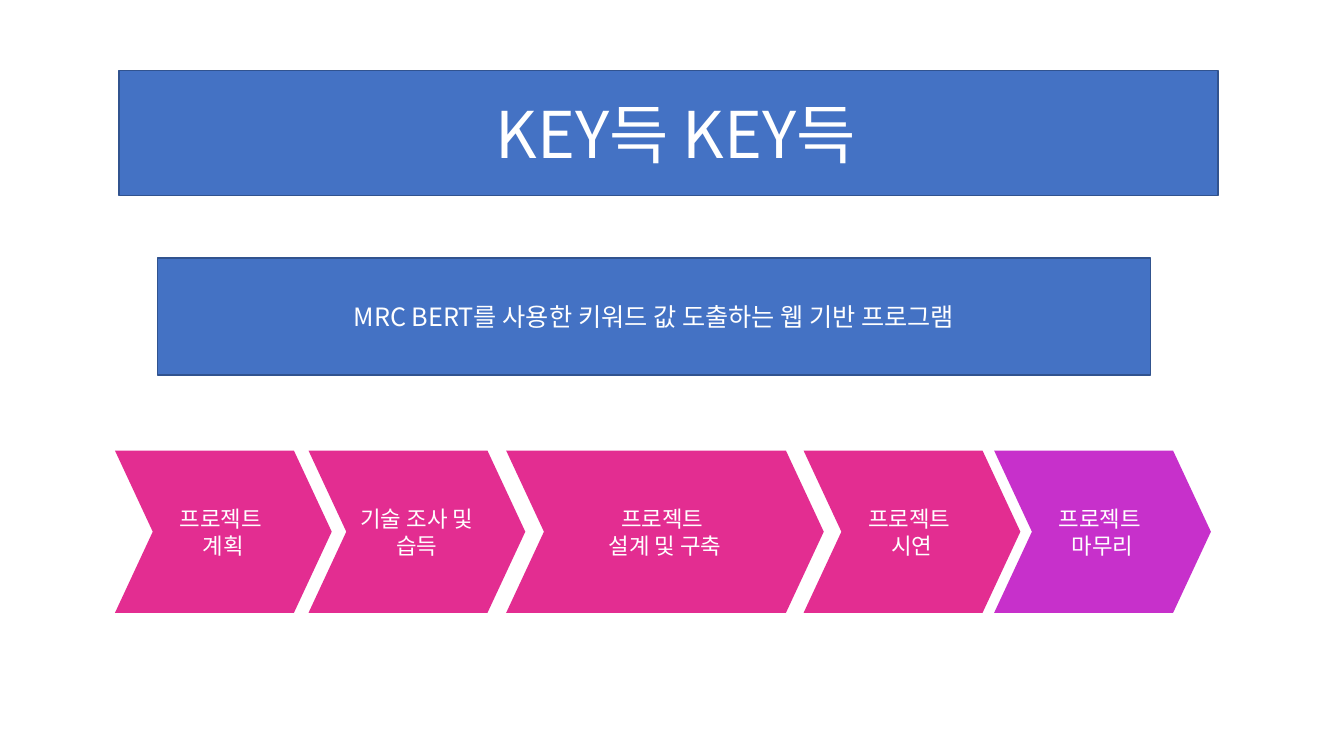
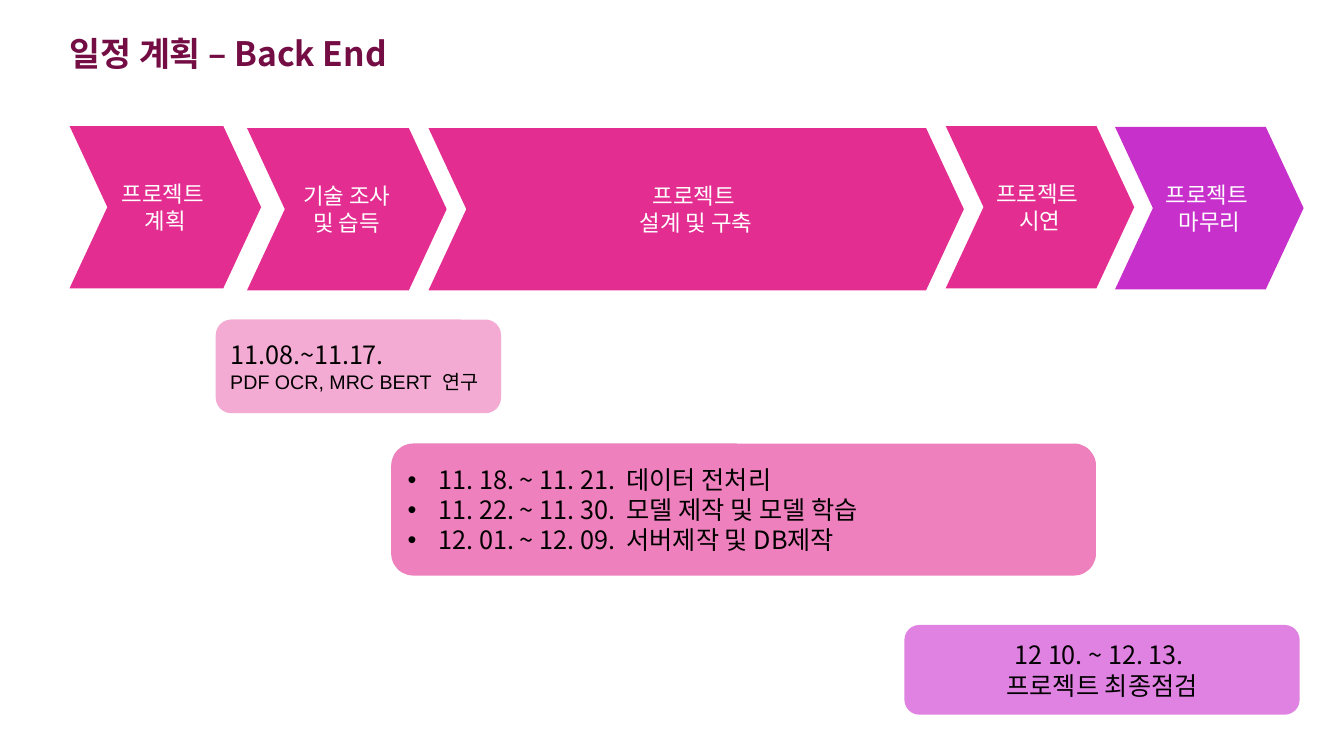
"""Build the project cover and back-end schedule slides."""
from lxml import etree
from pptx import Presentation
from pptx.dml.color import RGBColor
from pptx.enum.shapes import MSO_SHAPE
from pptx.enum.text import MSO_ANCHOR, MSO_AUTO_SIZE, PP_ALIGN
from pptx.oxml.ns import qn
from pptx.util import Inches, Pt

CHEVRON, RECTANGLE, ROUNDED = MSO_SHAPE.CHEVRON, MSO_SHAPE.RECTANGLE, MSO_SHAPE.ROUNDED_RECTANGLE
LEFT, CENTER = PP_ALIGN.LEFT, PP_ALIGN.CENTER
TOP, MIDDLE = MSO_ANCHOR.TOP, MSO_ANCHOR.MIDDLE

FONT = "Noto Sans CJK KR"
WHITE = RGBColor(0xFF, 0xFF, 0xFF)
BLACK = RGBColor(0x00, 0x00, 0x00)
BLUE = RGBColor(0x44, 0x72, 0xC4)
DARK_BLUE = RGBColor(0x31, 0x53, 0x8F)
PINK = RGBColor(0xE3, 0x2D, 0x91)
PURPLE = RGBColor(0xC7, 0x30, 0xCB)
WINE = RGBColor(0x75, 0x0D, 0x45)
PALE_PINK = RGBColor(0xF3, 0xAB, 0xD3)
MID_PINK = RGBColor(0xEE, 0x80, 0xBD)
PALE_PURPLE = RGBColor(0xE0, 0x82, 0xE2)


def write(shape, text, size, color, align=CENTER, anchor=MIDDLE, bold=False):
    frame = shape.text_frame
    frame.text = text
    frame.word_wrap = True
    frame.auto_size = MSO_AUTO_SIZE.NONE
    frame.vertical_anchor = anchor
    for paragraph in frame.paragraphs:
        paragraph.alignment = align
        for run in paragraph.runs:
            run.font.name = FONT
            run.font.size = Pt(size)
            run.font.bold = bold
            run.font.color.rgb = color
            etree.SubElement(run.font._element, qn("a:ea"), typeface=FONT)


def add_block(slide, kind, box, fill, text, size, color, align=CENTER):
    block = slide.shapes.add_shape(kind, *map(Inches, box))
    block.shadow.inherit = False
    block.fill.solid()
    block.fill.fore_color.rgb = fill
    block.line.fill.background()
    write(block, text, size, color, align)
    return block


prs = Presentation()
prs.slide_width, prs.slide_height = Inches(13.33), Inches(7.5)
title_only = prs.slide_layouts[5]
cover = prs.slides.add_slide(title_only)
schedule = prs.slides.add_slide(title_only)

TITLES = [
    (cover, (1.18, 0.7, 10.9, 1.24), " KEY득 KEY득", 46, WHITE, CENTER, MIDDLE, False),
    (schedule, (0.59, 0.28, 5.21, 0.5), "일정 계획 – Back End", 24, WINE, LEFT, TOP, True),
]
for slide, box, *style in TITLES:
    title = slide.shapes.title
    title.left, title.top, title.width, title.height = map(Inches, box)
    write(title, *style)

subtitle = add_block(cover, RECTANGLE, (1.56, 2.56, 9.85, 1.16), BLUE,
                     "MRC BERT를 사용한 키워드 값 도출하는 웹 기반 프로그램", 18, WHITE)
cover.shapes.title.fill.solid()
cover.shapes.title.fill.fore_color.rgb = BLUE
for banner in (cover.shapes.title, subtitle):
    banner.line.color.rgb = DARK_BLUE
    banner.line.width = Pt(1)

PHASES = [
    ("프로젝트 \n계획", PINK),
    ("기술 조사 및 습득", PINK),
    ("프로젝트 \n설계 및 구축", PINK),
    ("프로젝트 \n시연", PINK),
    ("프로젝트 \n마무리", PURPLE),
]
PHASE_HEIGHT = 1.61
PHASE_ROWS = [
    (cover, [(1.14, 4.47, 2.15), (3.06, 4.47, 2.15), (5.02, 4.47, 3.15),
             (7.97, 4.47, 2.15), (9.86, 4.47, 2.15)]),
    (schedule, [(0.69, 1.25, 1.9), (2.45, 1.27, 1.98), (4.25, 1.27, 5.31),
                (9.38, 1.25, 1.87), (11.06, 1.26, 1.87)]),
]
for slide, places in PHASE_ROWS:
    for (label, fill), place in zip(PHASES, places):
        phase = add_block(slide, CHEVRON, (*place, PHASE_HEIGHT), fill, label, 16, WHITE)
        phase.adjustments[0] = 0.233

research = add_block(schedule, ROUNDED, (2.14, 3.17, 2.83, 0.93), PALE_PINK,
                     "11.08.~11.17.\nPDF OCR, MRC BERT  연구", 18, BLACK, LEFT)
topic = research.text_frame.paragraphs[1].runs[0]
topic.font.name = "Arial"
topic.font.size = Pt(14)

build = add_block(schedule, ROUNDED, (3.88, 4.4, 6.99, 1.31), MID_PINK,
                  "11. 18. ~ 11. 21.  데이터 전처리\n"
                  "11. 22. ~ 11. 30.  모델 제작 및 모델 학습\n"
                  "12. 01. ~ 12. 09.  서버제작 및 DB제작", 18, BLACK, LEFT)
for task in build.text_frame.paragraphs:
    properties = task._p.get_or_add_pPr()
    properties.set("marL", str(Inches(0.31)))
    properties.set("indent", str(-Inches(0.31)))
    etree.SubElement(properties, qn("a:buFont"), typeface="Arial")
    etree.SubElement(properties, qn("a:buChar"), char="•")

add_block(schedule, ROUNDED, (8.97, 6.2, 3.92, 0.89), PALE_PURPLE,
          "12 10. ~ 12. 13. \n프로젝트 최종점검", 18, BLACK)

prs.save("out.pptx")
